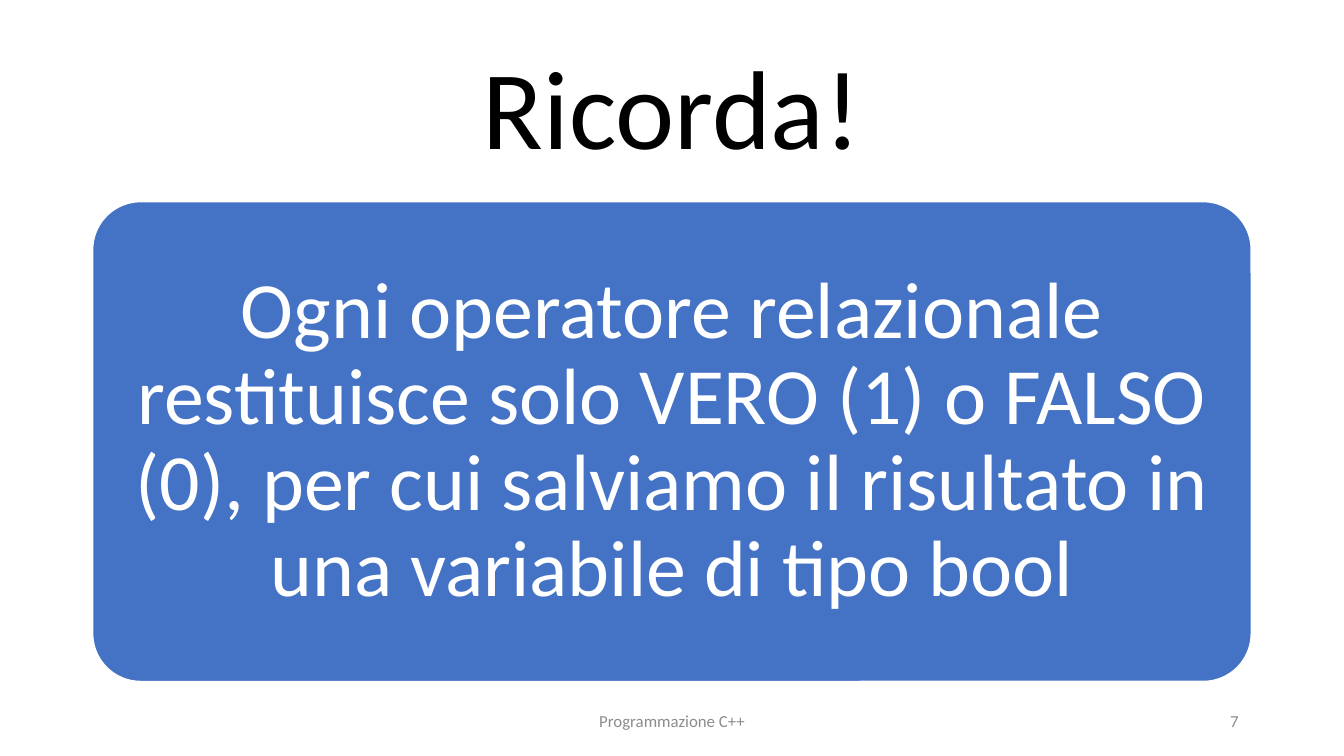
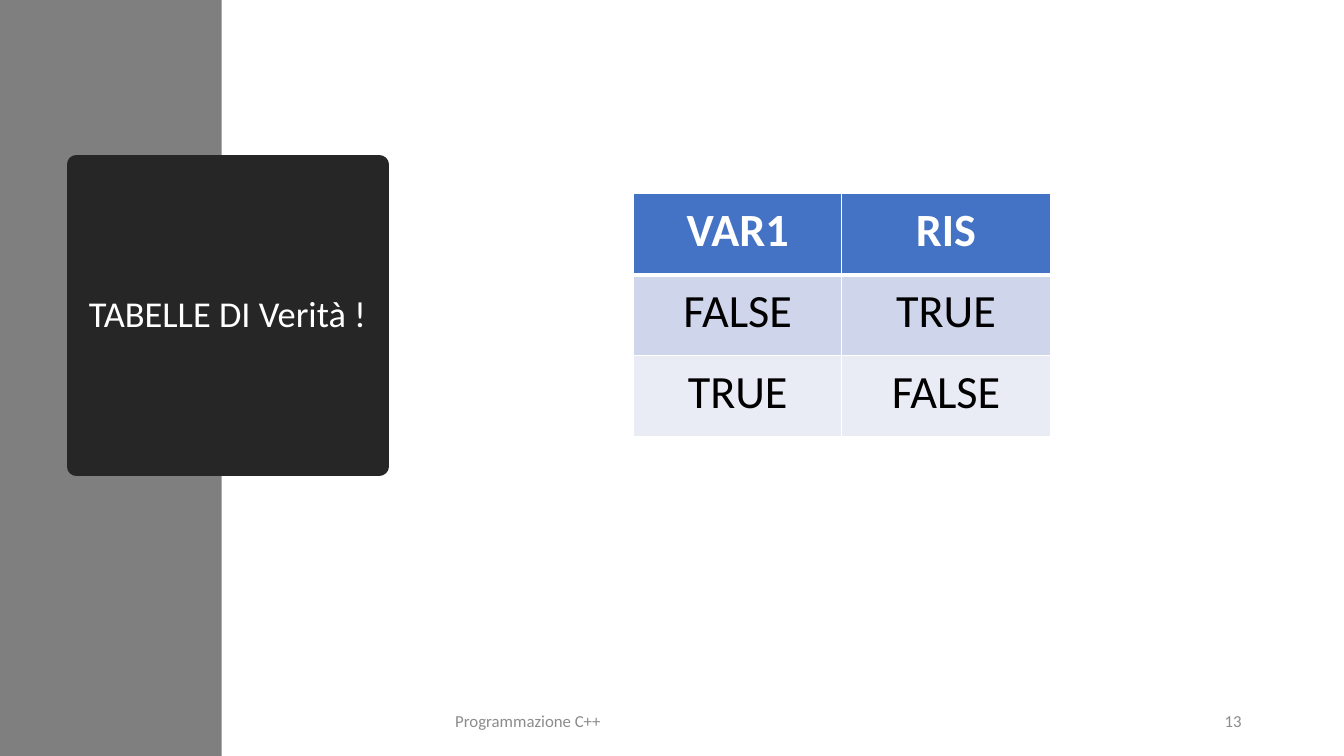
"""Build two slides of a C++ course: a reminder and a truth table."""
from dataclasses import dataclass

from lxml import etree
from pptx import Presentation
from pptx.dml.color import RGBColor
from pptx.enum.shapes import MSO_SHAPE
from pptx.enum.text import MSO_ANCHOR, PP_ALIGN
from pptx.oxml.ns import qn
from pptx.util import Inches, Pt

LEFT, CENTER, RIGHT = PP_ALIGN.LEFT, PP_ALIGN.CENTER, PP_ALIGN.RIGHT
TOP, MIDDLE, BOTTOM = MSO_ANCHOR.TOP, MSO_ANCHOR.MIDDLE, MSO_ANCHOR.BOTTOM
RECTANGLE, ROUNDED = MSO_SHAPE.RECTANGLE, MSO_SHAPE.ROUNDED_RECTANGLE


@dataclass(frozen=True)
class Theme:
    font: str = "Calibri"
    white: str = "FFFFFF"
    black: str = "000000"
    accent: str = "4472C4"
    band: str = "7F7F7F"
    dark: str = "262626"
    muted: str = "8C8C8C"
    row_fills: tuple = ("4472C4", "CFD5EA", "E9EBF5")
    title_size: int = 80
    reminder_size: int = 57
    table_size: int = 33
    heading_size: int = 26
    footer_size: int = 12
    tight: float = 0.9


theme = Theme()
deck = Presentation()
deck.slide_width, deck.slide_height = Inches(13.33), Inches(7.5)


def share(left, top, width, height):
    """Turn percentages of the slide into a position and size."""
    across, down = deck.slide_width / 100, deck.slide_height / 100
    return int(left * across), int(top * down), int(width * across), int(height * down)


def write(holder, text, size, color, align=CENTER, anchor=MIDDLE, inset=(0.1, 0.05), spacing=1.0, bold=False):
    """Fill a shape or table cell with one styled paragraph."""
    frame = holder.text_frame
    frame.word_wrap = True
    margins = holder if hasattr(holder, "is_merge_origin") else frame
    margins.vertical_anchor = anchor
    margins.margin_left = margins.margin_right = Inches(inset[0])
    margins.margin_top = margins.margin_bottom = Inches(inset[1])
    paragraph = frame.paragraphs[0]
    paragraph.text = text
    paragraph.alignment, paragraph.line_spacing = align, spacing
    font = paragraph.runs[0].font
    font.name, font.size, font.bold = theme.font, Pt(size), bold
    font.color.rgb = RGBColor.from_string(color)


blank = deck.slide_layouts[6]
reminder_slide = deck.slides.add_slide(blank)
truth_slide = deck.slides.add_slide(blank)

title = reminder_slide.shapes.add_textbox(*share(6.88, 5.33, 86.25, 19.33))
write(title, "Ricorda!", theme.title_size, theme.black, anchor=BOTTOM, inset=(0.13, 0.13), spacing=theme.tight)

panels = []
for slide, outline, area, fill, edge, edge_width in (
    (reminder_slide, ROUNDED, (6.9, 26.67, 86.2, 63.47), theme.accent, theme.white, 1),
    (truth_slide, RECTANGLE, (0, 0, 16.5, 100), theme.band, None, 0),
    (truth_slide, RECTANGLE, (5.7, 21.73, 22.5, 40), theme.dark, theme.dark, 13.75),
):
    panel = slide.shapes.add_shape(outline, *share(*area))
    panel.shadow.inherit = False
    panel.fill.solid()
    panel.fill.fore_color.rgb = RGBColor.from_string(fill)
    if edge:
        panel.line.color.rgb = RGBColor.from_string(edge)
        panel.line.width = Pt(edge_width)
        etree.SubElement(panel.line.fill._xPr, qn("a:round"))
    else:
        panel.line.fill.background()
    panels.append(panel)

reminder, side_band, heading = panels
reminder.adjustments[0] = 0.1
write(
    reminder,
    "Ogni operatore relazionale restituisce solo VERO (1) o FALSO (0), "
    "per cui salviamo il risultato in una variabile di tipo bool",
    theme.reminder_size, theme.white, inset=(0.24, 0.24), spacing=theme.tight,
)
write(heading, "TABELLE DI Verità !", theme.heading_size, theme.white, spacing=theme.tight)

truth_rows = (("VAR1", "RIS"), ("FALSE", "TRUE"), ("TRUE", "FALSE"))
table = truth_slide.shapes.add_table(3, 2, *share(47.14, 25.6, 31, 32.2)).table
table.horz_banding = False
for row, (labels, row_fill) in enumerate(zip(truth_rows, theme.row_fills)):
    is_header = row == 0
    for column, label in enumerate(labels):
        cell = table.cell(row, column)
        write(cell, label, theme.table_size, theme.white if is_header else theme.black,
              anchor=TOP, inset=(0.18, 0.09), bold=is_header)
        for side in ("lnL", "lnR", "lnT", "lnB"):
            below_header = (row, side) in ((0, "lnB"), (1, "lnT"))
            border = etree.SubElement(cell._tc.get_or_add_tcPr(), qn("a:" + side), w=str(Pt(3 if below_header else 1)))
            paint = etree.SubElement(border, qn("a:solidFill"))
            etree.SubElement(paint, qn("a:srgbClr"), val=theme.white)
        cell.fill.solid()
        cell.fill.fore_color.rgb = RGBColor.from_string(row_fill)

for slide, text, left, width, align, side_inset in (
    (reminder_slide, "Programmazione C++", 33.13, 33.75, CENTER, 0.1),
    (reminder_slide, "7", 70.63, 22.5, RIGHT, 0.13),
    (truth_slide, "Programmazione C++", 33.13, 39.75, LEFT, 0.1),
    (truth_slide, "13", 81.08, 12.05, RIGHT, 0.1),
):
    footer = slide.shapes.add_textbox(*share(left, 92.67, width, 5.33))
    write(footer, text, theme.footer_size, theme.muted, align=align, inset=(side_inset, 0.05))

deck.save("out.pptx")
